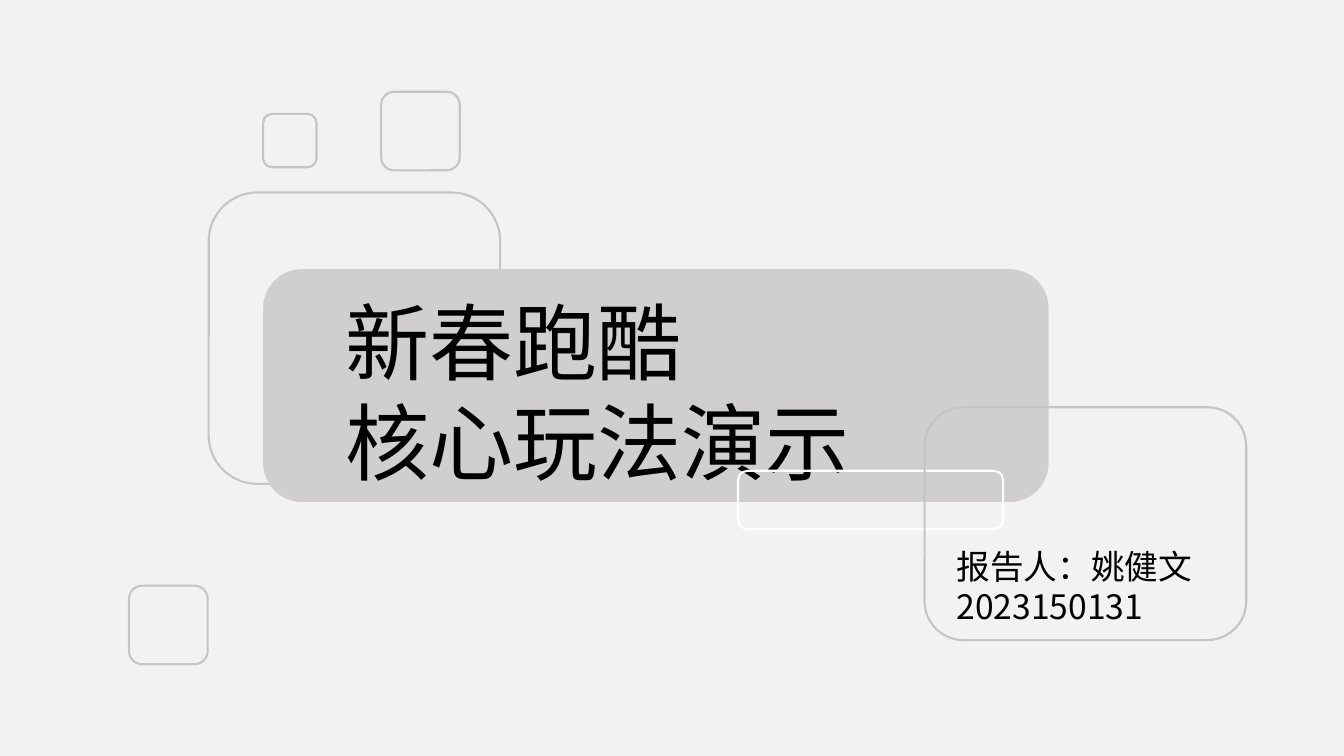
from dataclasses import dataclass

from lxml.etree import SubElement
from pptx import Presentation
from pptx.dml.color import RGBColor
from pptx.enum.shapes import MSO_SHAPE as Shape
from pptx.enum.text import MSO_ANCHOR as Anchor, PP_ALIGN as Align
from pptx.oxml.ns import qn
from pptx.util import Inches, Pt


@dataclass(frozen=True)
class Theme:
    font: str = "Noto Sans CJK SC"
    background: RGBColor = RGBColor(0xF2, 0xF2, 0xF2)
    outline: RGBColor = RGBColor(0xC5, 0xC5, 0xC5)
    highlight: RGBColor = RGBColor(0xFF, 0xFF, 0xFF)
    panel: RGBColor = RGBColor(0xD0, 0xCE, 0xCE)
    text: RGBColor = RGBColor(0, 0, 0)
    line_width: float = 1.5
    title_size: int = 60
    reporter_size: int = 24
    line_pitch: float = 1.19


THEME = Theme()


def add_rounded(page, left, top, width, height, fill=None, line=None):
    """Add a rounded rectangle, either filled or outlined."""
    box = page.shapes.add_shape(Shape.ROUNDED_RECTANGLE, Inches(left),
                                Inches(top), Inches(width), Inches(height))
    box.shadow.inherit = False
    if fill is None:
        box.fill.background()
    else:
        box.fill.solid()
        box.fill.fore_color.rgb = fill
    if line is None:
        box.line.fill.background()
    else:
        box.line.color.rgb = line
        box.line.width = Pt(THEME.line_width)
    return box


def write_lines(box, lines, size, left, top, width, height):
    """Place a text shape and fill it with left-aligned lines."""
    box.left, box.top = Inches(left), Inches(top)
    box.width, box.height = Inches(width), Inches(height)
    frame = box.text_frame
    frame.word_wrap = True
    frame.vertical_anchor = Anchor.TOP
    frame.text = "\n".join(lines)
    for para in frame.paragraphs:
        para.alignment = Align.LEFT
        para.line_spacing = Pt(size * THEME.line_pitch)
        para.font.name = THEME.font
        para.font.size = Pt(size)
        para.font.color.rgb = THEME.text
        # East Asian characters need their own typeface entry
        properties = para.font._element
        SubElement(properties, qn("a:ea")).set("typeface", THEME.font)


def main():
    deck = Presentation()
    deck.slide_width, deck.slide_height = Inches(13.33), Inches(7.5)
    page = deck.slides.add_slide(deck.slide_layouts[5])
    page.background.fill.solid()
    page.background.fill.fore_color.rgb = THEME.background

    # Decorative squares
    for left, top, side in ((2.07, 1.91, 2.89), (2.61, 1.13, 0.53),
                            (1.28, 5.81, 0.78), (3.78, 0.91, 0.78)):
        add_rounded(page, left, top, side, side, line=THEME.outline)

    # Title on its panel
    panel = add_rounded(page, 2.61, 2.67, 7.79, 2.31, fill=THEME.panel)
    title = page.shapes.title
    panel._element.addnext(title._element)
    write_lines(title, ("新春跑酷", "核心玩法演示"), THEME.title_size,
                3.33, 2.84, 6.52, 2.12)

    # Overlapping frames
    add_rounded(page, 7.32, 4.67, 2.63, 0.58, line=THEME.highlight)
    add_rounded(page, 9.17, 4.04, 3.19, 2.31, line=THEME.outline)

    # Reporter
    reporter = page.shapes.add_textbox(0, 0, 0, 0)
    write_lines(reporter, ("报告人：姚健文", "2023150131"),
                THEME.reporter_size, 9.39, 5.37, 2.9, 0.91)

    deck.save("out.pptx")


if __name__ == "__main__":
    main()
